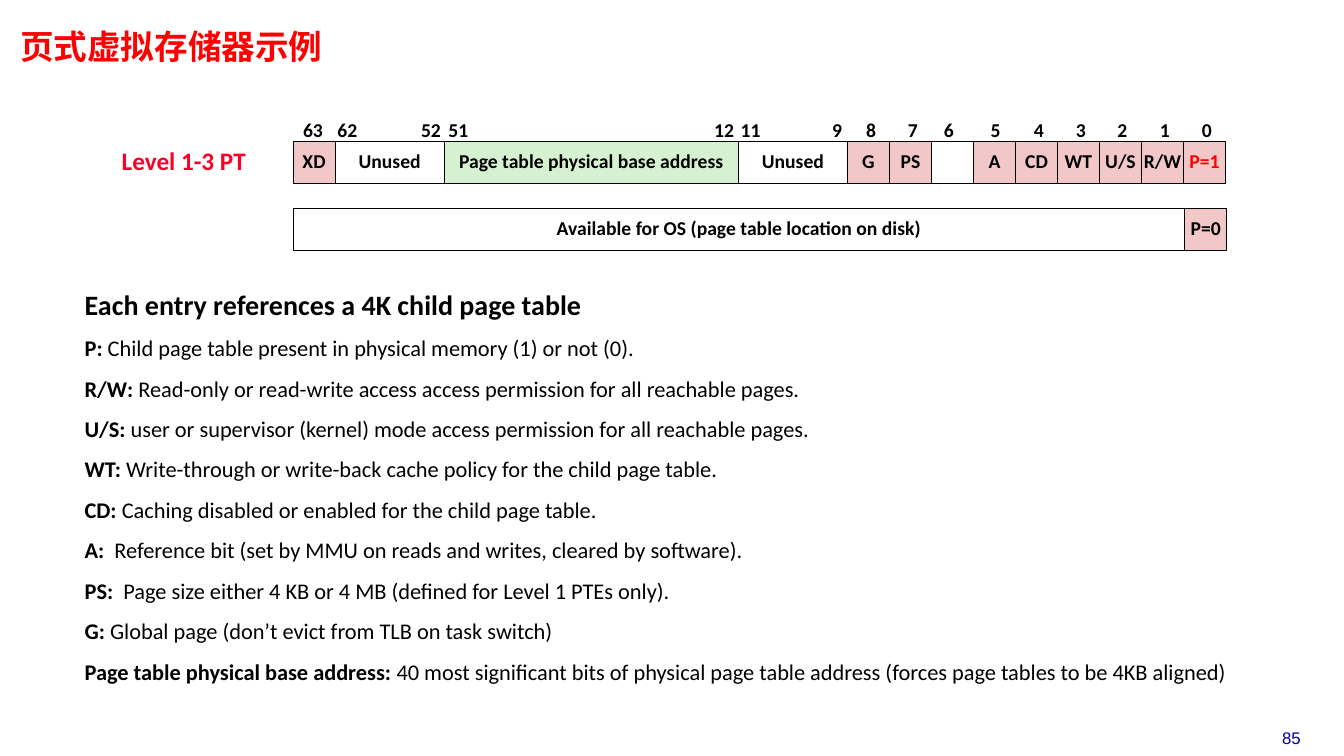
from dataclasses import dataclass

from pptx import Presentation
from pptx import util as u
from pptx.dml import color
from pptx.enum import shapes, text
from pptx.oxml import ns

COLUMNS, ROWS = 32, 18
CELL = u.Inches(40 / 3) / COLUMNS
ENTRY_LEFT, ENTRY_TOP, DISK_TOP, BIT_TOP = 6.98, 3.36, 4.97, 2.77


@dataclass(frozen=True)
class Theme:
    body_font: str = "Calibri"
    title_font: str = "Noto Sans Mono"
    number_font: str = "Arial"
    black: str = "000000"
    red: str = "FF0000"
    crimson: str = "FC0128"
    navy: str = "000099"
    white: str = "FFFFFF"
    pink: str = "F1C7C7"
    green: str = "D5F1CF"
    title_size: int = 24
    heading_size: int = 20
    label_size: int = 18
    body_size: int = 16
    field_size: int = 14
    number_size: int = 12
    line_spacing: float = 0.88


THEME = Theme()

PRESENT_ENTRY = [
    ("XD", 1, THEME.pink, THEME.black),
    ("Unused", 2.6, THEME.white, THEME.black),
    ("Page table physical base address", 7, THEME.green, THEME.black),
    ("Unused", 2.6, THEME.white, THEME.black),
    ("G", 1, THEME.pink, THEME.black),
    ("PS", 1, THEME.pink, THEME.black),
    ("", 1, THEME.white, THEME.black),
    ("A", 1, THEME.pink, THEME.black),
    ("CD", 1, THEME.pink, THEME.black),
    ("WT", 1, THEME.pink, THEME.black),
    ("U/S", 1, THEME.pink, THEME.black),
    ("R/W", 1, THEME.pink, THEME.black),
    ("P=1", 1, THEME.pink, THEME.red),
]
ABSENT_ENTRY = [
    ("Available for OS (page table location on disk)", 21.23, THEME.white, THEME.black),
    ("P=0", 1, THEME.pink, THEME.black),
]
BIT_CENTRES = {
    63: 0.48, 62: 1.3, 52: 3.29, 51: 3.94, 12: 10.27, 11: 10.9, 9: 12.96, 8: 13.77,
    7: 14.76, 6: 15.62, 5: 16.73, 4: 17.76, 3: 18.76, 2: 19.75, 1: 20.76, 0: 21.76,
}
HEADING = "Each entry references a 4K child page table"
DEFINITIONS = [
    ("P: ", "Child page table present in physical memory (1) or not (0)."),
    ("R/W: ", "Read-only or read-write access access permission for all reachable pages."),
    ("U/S: ", "user or supervisor (kernel) mode access permission for all reachable pages."),
    ("WT: ", "Write-through or write-back cache policy for the child page table."),
    ("CD: ", "Caching disabled or enabled for the child page table."),
    ("A:  ", "Reference bit (set by MMU on reads and writes, cleared by software)."),
    ("PS:  ", "Page size either 4 KB or 4 MB (defined for Level 1 PTEs only)."),
    ("G: ", "Global page (don’t evict from TLB on task switch)"),
    ("Page table physical base address: ",
     "40 most significant bits of physical page table address "
     "(forces page tables to be 4KB aligned)"),
]


def cells(*counts):
    return [u.Emu(round(count * CELL)) for count in counts]


def add_run(paragraph, content, size, ink=THEME.black, bold=True, font=THEME.body_font):
    run = paragraph.add_run()
    run.text = content
    run.font.size = u.Pt(size)
    run.font.name = font
    run.font.bold = bold
    run.font.color.rgb = color.RGBColor.from_string(ink)
    return run


def add_text_box(container, place, wrap=True):
    frame = container.add_textbox(*cells(*place)).text_frame
    frame.word_wrap = wrap
    frame.auto_size = text.MSO_AUTO_SIZE.SHAPE_TO_FIT_TEXT
    frame.paragraphs[0].line_spacing = THEME.line_spacing
    return frame


def add_title(slide, content):
    frame = add_text_box(slide.shapes, (0.31, 0.67, 13.8, 0.98))
    frame.margin_left = frame.margin_right = u.Inches(0.07)
    frame.margin_top = frame.margin_bottom = u.Inches(0.03)
    run = add_run(frame.paragraphs[0], content, THEME.title_size, THEME.red,
                  font=THEME.title_font)
    east_asian = run.font._element.makeelement(ns.qn("a:ea"), {"typeface": THEME.title_font})
    run.font._element.append(east_asian)


def add_field(container, place, content, fill, ink):
    shape = container.add_shape(shapes.MSO_SHAPE.RECTANGLE, *cells(*place))
    shape.shadow.inherit = False
    shape.fill.solid()
    shape.fill.fore_color.rgb = color.RGBColor.from_string(fill)
    shape.line.color.rgb = color.RGBColor.from_string(THEME.black)
    shape.line.width = u.Pt(0.75)
    if content:
        frame = shape.text_frame
        frame.word_wrap = False
        frame.vertical_anchor = text.MSO_ANCHOR.MIDDLE
        paragraph = frame.paragraphs[0]
        paragraph.alignment = text.PP_ALIGN.CENTER
        paragraph.line_spacing = THEME.line_spacing
        add_run(paragraph, content, THEME.field_size, ink)


def add_entry(container, top, fields):
    left = ENTRY_LEFT
    for content, width, fill, ink in fields:
        add_field(container, (left, top, width, 1), content, fill, ink)
        left += width


def add_bit_numbers(container):
    for bit, centre in BIT_CENTRES.items():
        width = 0.96 if bit > 9 else 0.72
        place = (ENTRY_LEFT + centre - width / 2, BIT_TOP, width, 0.74)
        frame = add_text_box(container, place, wrap=False)
        add_run(frame.paragraphs[0], str(bit), THEME.field_size)


def add_definitions(slide):
    frame = add_text_box(slide.shapes, (1.78, 6.82, 28.22, 9.7))
    add_run(frame.paragraphs[0], HEADING, THEME.heading_size)
    for term, meaning in DEFINITIONS:
        paragraph = frame.add_paragraph()
        paragraph.line_spacing = THEME.line_spacing
        paragraph.space_before = u.Pt(12)
        add_run(paragraph, term, THEME.body_size)
        add_run(paragraph, meaning, THEME.body_size, bold=False)


def add_entry_label(slide):
    frame = add_text_box(slide.shapes, (2.66, 3.43, 3.48, 0.86), wrap=False)
    add_run(frame.paragraphs[0], "Level 1-3 PT", THEME.label_size, THEME.crimson)


def add_page_number(slide):
    frame = add_text_box(slide.shapes, (29.62, 17.21, 2.26, 0.72))
    paragraph = frame.paragraphs[0]
    paragraph.alignment = text.PP_ALIGN.CENTER
    paragraph.line_spacing = 1.0
    add_run(paragraph, "85", THEME.number_size, THEME.navy, False, THEME.number_font)


def main():
    presentation = Presentation()
    presentation.slide_width, presentation.slide_height = cells(COLUMNS, ROWS)
    slide = presentation.slides.add_slide(presentation.slide_layouts[6])
    add_title(slide, "页式虚拟存储器示例")
    add_definitions(slide)
    diagram = slide.shapes.add_group_shape().shapes
    add_entry(diagram, ENTRY_TOP, PRESENT_ENTRY)
    add_entry(diagram, DISK_TOP, ABSENT_ENTRY)
    add_bit_numbers(diagram)
    add_entry_label(slide)
    add_page_number(slide)
    presentation.save("out.pptx")


if __name__ == "__main__":
    main()
